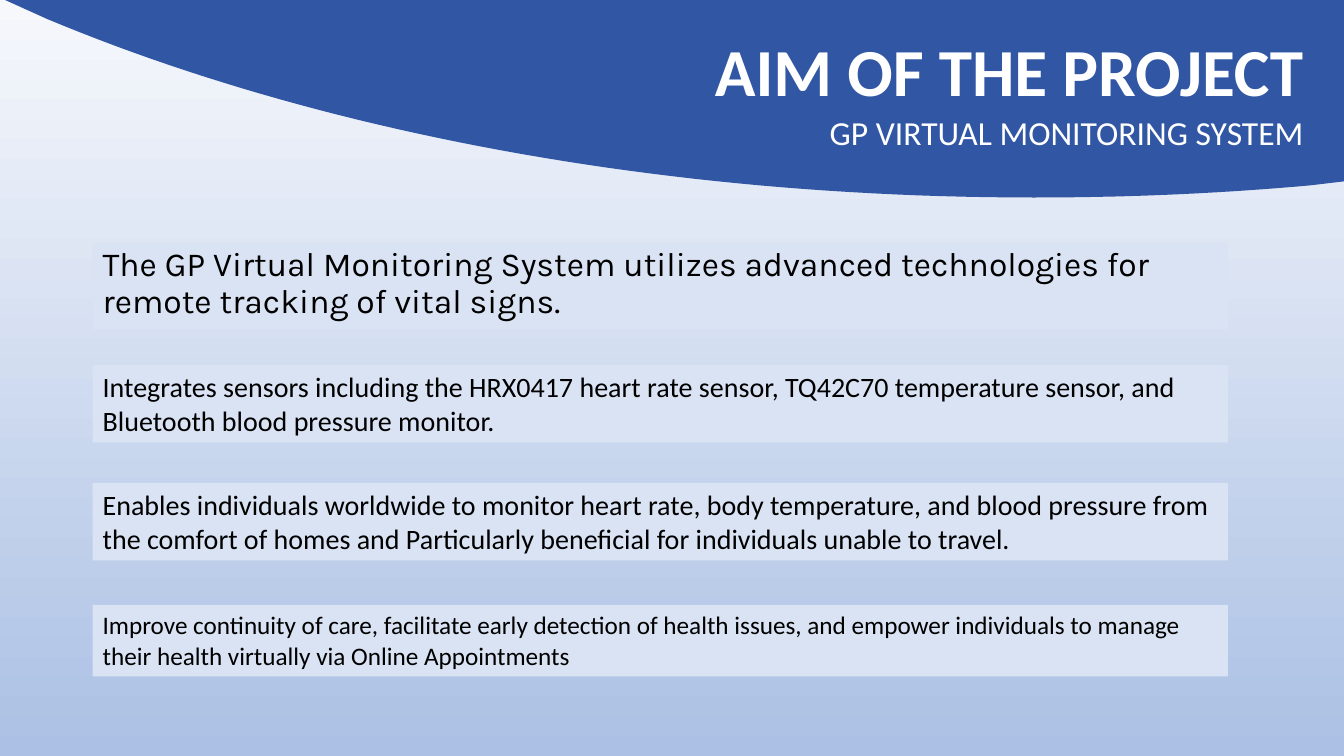
from pptx import Presentation, util as u
from pptx.dml import color
from pptx.enum import text

WIDTH, HEIGHT = 13.33, 7.5
LEFT, CARD_WIDTH = 0.92, 11.26
BLUE, PALE, WHITE, BLACK = "3156A4", "DAE3F3", "FFFFFF", "000000"
RIGHT = {"alignment": text.PP_ALIGN.RIGHT, "line_spacing": 0.9}
LEFT_ALIGNED = {"alignment": text.PP_ALIGN.LEFT}

# Top, height, font, size, paragraph format and wording of each statement
STATEMENTS = [
    (2.41, 0.86, "Karla", 24, {**LEFT_ALIGNED, "line_spacing": 0.9},
     "The GP Virtual Monitoring System utilizes advanced technologies for remote "
     "tracking of vital signs."),
    (3.62, 0.77, "Calibri", 20, LEFT_ALIGNED,
     "Integrates sensors including the HRX0417 heart rate sensor, TQ42C70 temperature "
     "sensor, and Bluetooth blood pressure monitor."),
    (4.79, 0.77, "Calibri", 20, LEFT_ALIGNED,
     "Enables individuals worldwide to monitor heart rate, body temperature, and blood "
     "pressure from the comfort of homes and Particularly beneficial for individuals "
     "unable to travel."),
    (6.0, 0.71, "Calibri", 18, LEFT_ALIGNED,
     "Improve continuity of care, facilitate early detection of health issues, and "
     "empower individuals to manage their health virtually via Online Appointments"),
]


def rgb(value):
    return color.RGBColor.from_string(value)


def apply(target, values):
    for name, value in values.items():
        setattr(target, name, value)


def place(shape, left, top, width, height):
    apply(shape, {"left": u.Inches(left), "top": u.Inches(top),
                  "width": u.Inches(width), "height": u.Inches(height)})


def write(shape, wording, font, size, hex_color, layout, bold=False,
          right_inset=0.1, anchor=text.MSO_ANCHOR.TOP):
    frame = shape.text_frame
    apply(frame, {"word_wrap": True, "auto_size": text.MSO_AUTO_SIZE.NONE,
                  "vertical_anchor": anchor,
                  "margin_left": u.Inches(0.1), "margin_right": u.Inches(right_inset),
                  "margin_top": u.Inches(0.05), "margin_bottom": u.Inches(0.05)})
    frame.text = wording
    paragraph = frame.paragraphs[0]
    apply(paragraph, layout)
    run_font = paragraph.runs[0].font
    apply(run_font, {"name": font, "size": u.Pt(size), "bold": bold})
    run_font.color.rgb = rgb(hex_color)


def bezier(start, control_1, control_2, end, steps=48):
    """Points along a cubic curve, without its start."""
    points = []
    for step in range(1, steps + 1):
        t = step / steps
        weights = ((1 - t) ** 3, 3 * t * (1 - t) ** 2, 3 * t ** 2 * (1 - t), t ** 3)
        points.append(tuple(sum(weight * point[axis] for weight, point in
                                zip(weights, (start, control_1, control_2, end)))
                            for axis in (0, 1)))
    return points


def add_background(slide):
    fill = slide.background.fill
    fill.gradient()
    fill.gradient_angle = 270
    for stop, hex_color in zip(fill.gradient_stops, ("F6F8FC", "ABC0E4")):
        stop.color.rgb = rgb(hex_color)


def add_banner(slide):
    shoulder, lowest = (12.99, 1.84), (10.26, 1.96)
    points = [(WIDTH, 0), (WIDTH, 1.8), shoulder]
    points += bezier(shoulder, (12.1, 1.92), (11.19, 1.96), lowest)
    points += bezier(lowest, (6.54, 1.96), (3.13, 1.3), (0.47, 0.19))
    # Vertices are whole numbers, so they are given in EMU
    builder = slide.shapes.build_freeform(u.Inches(0.05), 0)
    builder.add_line_segments([(u.Inches(x), u.Inches(y)) for x, y in points],
                              close=True)
    banner = builder.convert_to_shape()
    banner.shadow.inherit = False
    banner.fill.solid()
    banner.fill.fore_color.rgb = rgb(BLUE)
    banner.line.fill.background()


def add_statement(slide, top, height, font, size, layout, wording):
    card = slide.shapes.add_textbox(0, 0, 0, 0)
    place(card, LEFT, top, CARD_WIDTH, height)
    card.fill.solid()
    card.fill.fore_color.rgb = rgb(PALE)
    write(card, wording, font, size, BLACK, layout)


def add_heading(slide):
    title = slide.shapes.title
    place(title, LEFT, 0.02, WIDTH - LEFT, 1.45)
    write(title, "AIM OF THE PROJECT", "Calibri", 48, WHITE, RIGHT, bold=True,
          right_inset=0.4, anchor=text.MSO_ANCHOR.MIDDLE)
    # Bring the title in front of the banner
    slide.shapes.element.append(title.element)
    subtitle = slide.shapes.add_textbox(0, 0, 0, 0)
    place(subtitle, WIDTH / 4, 1.11, WIDTH * 3 / 4, 0.78)
    write(subtitle, "GP VIRTUAL MONITORING SYSTEM", "Calibri", 24, WHITE, RIGHT,
          right_inset=0.4)


def main():
    presentation = Presentation()
    apply(presentation, {"slide_width": u.Inches(WIDTH),
                         "slide_height": u.Inches(HEIGHT)})
    slide = presentation.slides.add_slide(presentation.slide_layouts[5])
    add_background(slide)
    add_banner(slide)
    add_heading(slide)
    for statement in STATEMENTS:
        add_statement(slide, *statement)
    presentation.save("out.pptx")


if __name__ == "__main__":
    main()
